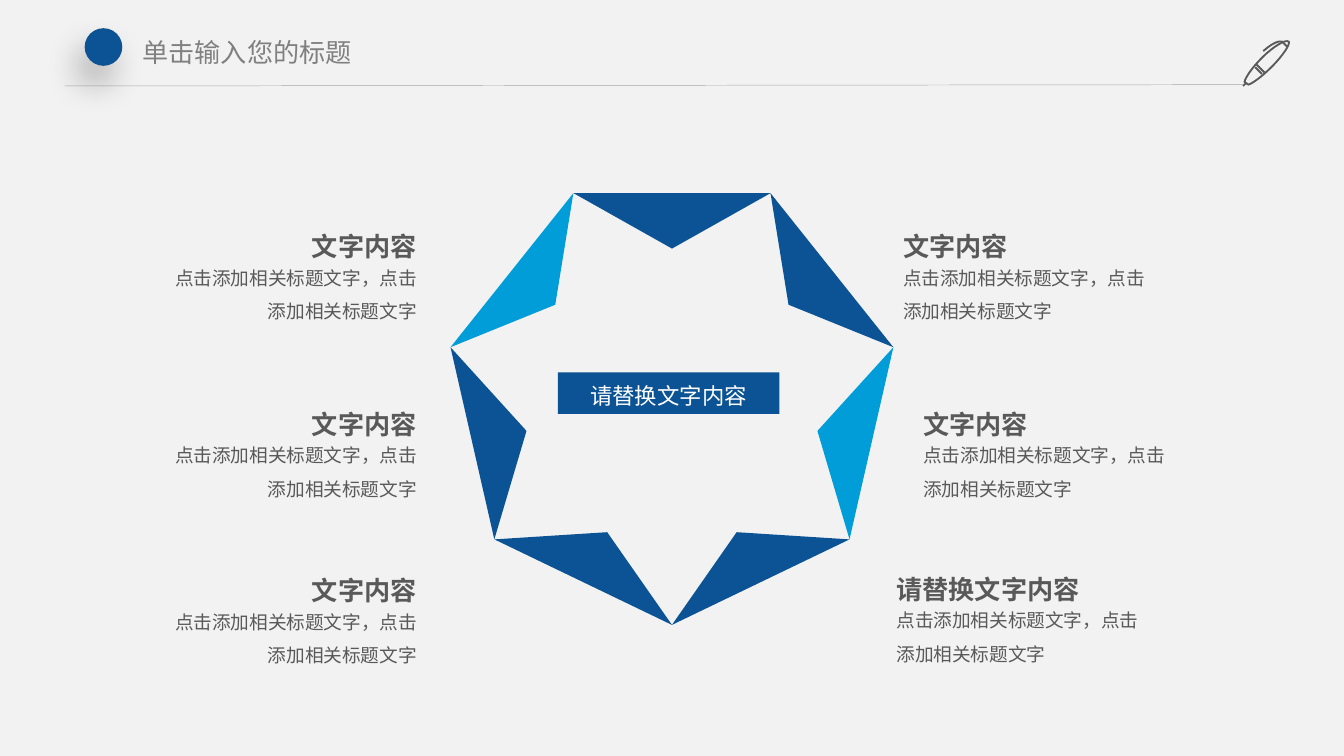
"""Build a slide with a seven-part ring and six captions."""
from math import cos, pi, sin

from lxml.etree import SubElement
from pptx import Presentation
from pptx.dml.color import RGBColor
from pptx.enum.shapes import MSO_CONNECTOR, MSO_SHAPE
from pptx.enum.text import MSO_ANCHOR, PP_ALIGN
from pptx.oxml.ns import qn
from pptx.util import Inches, Pt

SANS, HEAD = "Noto Sans CJK SC", "Arial"
NAVY, SKY, GRAY = "0B5394", "009DD9", "595959"
TITLE = "单击输入您的标题"
LABEL = "请替换文字内容"
BODY = "点击添加相关标题文字，点击添加相关标题文字"
LEFT = [("文字内容", 1.63), ("文字内容", 2.95), ("文字内容", 4.19)]
RIGHT = [("文字内容", 6.65, 1.63), ("文字内容", 6.8, 2.95), (LABEL, 6.6, 4.18)]
RING = [NAVY, NAVY, SKY, NAVY, NAVY, NAVY, SKY]
MID_X, MID_Y, OUTER, INNER = 5, 2.96, 1.69, 1.11
PEN = [
    [(9.39, 0.55), (9.34, 0.5)],
    [(9.35, 0.48), (9.41, 0.54)],
    [(9.59, 0.31), (9.57, 0.29, 9.48, 0.34, 9.39, 0.43),
     (9.32, 0.5, 9.27, 0.57, 9.26, 0.61), (9.29, 0.63),
     (9.32, 0.62, 9.39, 0.57, 9.46, 0.5), (9.55, 0.41, 9.6, 0.33, 9.59, 0.31)],
    [(9.27, 0.62), (9.25, 0.64)],
    [(9.58, 0.35), (9.54, 0.31), (9.54, 0.31, 9.5, 0.29, 9.4, 0.38)],
]


def tint(code):
    return RGBColor.from_string(code)


def paint(shape, code):
    shape.shadow.inherit = False
    shape.fill.solid()
    shape.fill.fore_color.rgb = tint(code)
    shape.line.fill.background()


def write(shape, text, size, font, code, align, space=1.0, bold=False, pad=0.07):
    frame = shape.text_frame
    frame.word_wrap = True
    frame.margin_left = frame.margin_right = Inches(pad)
    frame.margin_top = frame.margin_bottom = Inches(0.04)
    para = frame.paragraphs[0]
    para.text = text
    para.alignment = align
    para.line_spacing = space
    para.font.size = Pt(size)
    para.font.name = font
    para.font.bold = bold
    para.font.color.rgb = tint(code)


def box(slide, x, y, wide, high):
    return slide.shapes.add_textbox(*map(Inches, (x, y, wide, high)))


def caption(slide, head, x, y, wide, align):
    write(box(slide, x, y, wide, 0.36), head, 14, HEAD, GRAY, align, 1.2, True)
    write(box(slide, x, y + 0.23, wide, 0.58), BODY, 10, SANS, GRAY, align, 1.5)


def trace(stroke, steps=8):
    points = [stroke[0]]
    for part in stroke[1:]:
        if len(part) == 2:
            points.append(part)
            continue
        knots = [points[-1], part[:2], part[2:4], part[4:]]
        for step in range(1, steps + 1):
            t = step / steps
            rate = ((1 - t) ** 3, 3 * t * (1 - t) ** 2, 3 * t * t * (1 - t), t ** 3)
            points.append(tuple(sum(r * k[axis] for r, k in zip(rate, knots))
                                for axis in (0, 1)))
    return points


def outline(slide, strokes, close=False):
    paths = [[(Inches(x), Inches(y)) for x, y in stroke] for stroke in strokes]
    form = slide.shapes.build_freeform(*paths[0][0], scale=1.0)
    for index, points in enumerate(paths):
        if index:
            form.move_to(*points[0])
        form.add_line_segments(points[1:], close=close)
    return form.convert_to_shape()


def polar(turn, radius):
    angle = 2 * pi * turn / len(RING)
    return MID_X + radius * sin(angle), MID_Y - radius * cos(angle)


def header(slide):
    rule = slide.shapes.add_connector(
        MSO_CONNECTOR.STRAIGHT, *map(Inches, (0.48, 0.64, 9.25, 0.63)))
    rule.line.color.rgb = tint("A6A6A6")
    rule.line.width = Pt(0.25)
    SubElement(rule._element.spPr, qn("a:effectLst"))

    pen = outline(slide, [trace(stroke) for stroke in PEN])
    pen.shadow.inherit = False
    pen.fill.background()
    pen.line.color.rgb = tint(GRAY)
    pen.line.width = Pt(1)

    write(box(slide, 0.97, 0.23, 2.43, 0.32), TITLE, 14, SANS, "808080",
          PP_ALIGN.LEFT, pad=0.09)

    dot = slide.shapes.add_shape(
        MSO_SHAPE.OVAL, *map(Inches, (0.63, 0.21, 0.28, 0.28)))
    paint(dot, NAVY)
    glow = SubElement(dot._element.spPr.find(qn("a:effectLst")), qn("a:outerShdw"),
                      blurRad=str(Pt(18)), dist=str(Pt(11)), dir=str(113 * 60000),
                      algn="ctr", rotWithShape="0")
    shade = SubElement(glow, qn("a:srgbClr"), val="000000")
    SubElement(shade, qn("a:alpha"), val="27000")


def main():
    deck = Presentation()
    deck.slide_width, deck.slide_height = Inches(10), Inches(10 * 9 / 16)
    slide = deck.slides.add_slide(deck.slide_layouts[6])
    slide.background.fill.solid()
    slide.background.fill.fore_color.rgb = tint("F2F2F2")
    header(slide)

    for turn, code in enumerate(RING):
        wedge = [polar(turn - 0.5, OUTER), polar(turn + 0.5, OUTER), polar(turn, INNER)]
        paint(outline(slide, [wedge], close=True), code)

    label = slide.shapes.add_shape(
        MSO_SHAPE.RECTANGLE, *map(Inches, (4.15, 2.77, 1.65, 0.31)))
    paint(label, NAVY)
    write(label, LABEL, 12, HEAD, "FFFFFF", PP_ALIGN.CENTER, 1.2)
    label.text_frame.vertical_anchor = MSO_ANCHOR.MIDDLE

    for head, y in LEFT:
        caption(slide, head, 1.19, y, 1.98, PP_ALIGN.RIGHT)
    for head, x, y in RIGHT:
        caption(slide, head, x, y, 2.01, PP_ALIGN.LEFT)
    deck.save("out.pptx")


if __name__ == "__main__":
    main()
